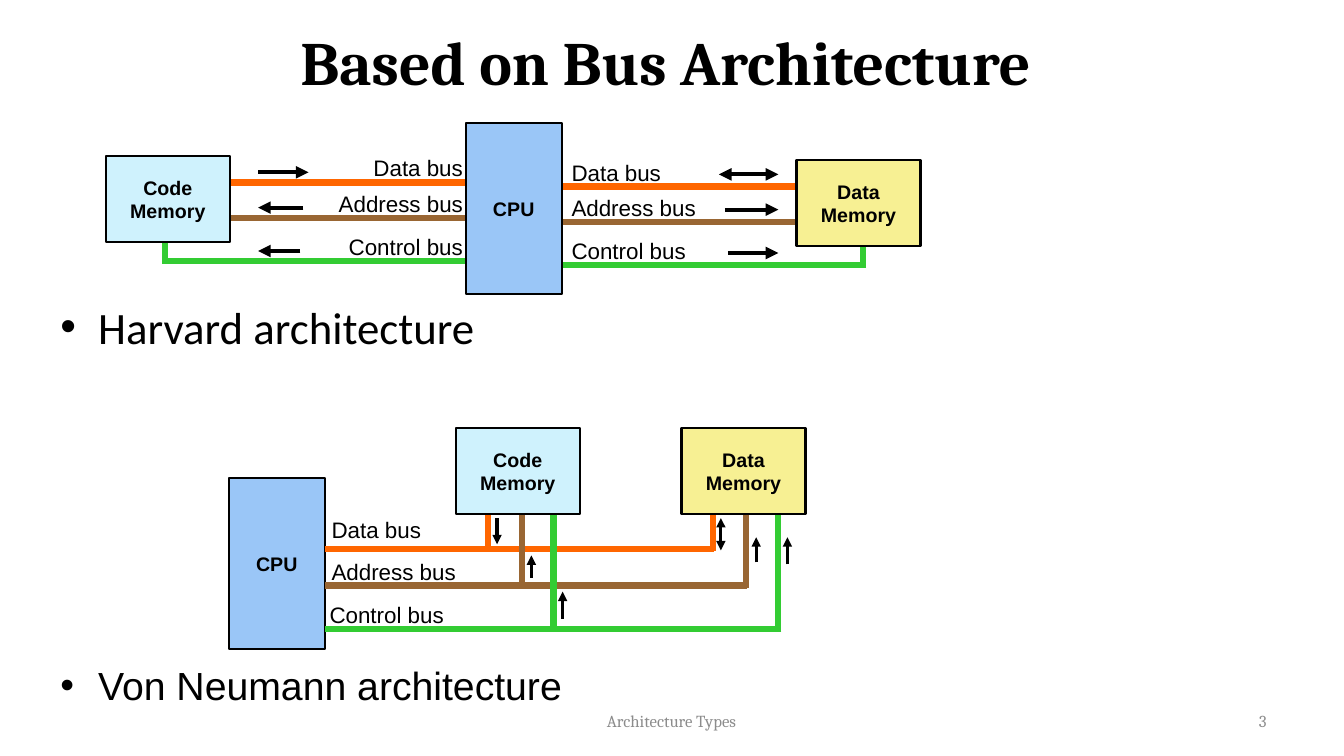
from lxml import etree
from pptx import Presentation
from pptx import util as u
from pptx.dml.color import RGBColor
from pptx.enum import shapes, text
from pptx.oxml.ns import qn

THEME = {
    "black": "000000", "grey": "8C8C8C",
    "cpu": "86BBF6", "code": "CFF2FD", "data": "F7F093",
    "Data bus": "FF6600", "Address bus": "996633", "Control bus": "33CC33",
    "title size": 44, "harvard size": 32, "neumann size": 28,
    "label size": 16, "block size": 14, "footer size": 12,
    "bus width": 4.5, "harvard arrow": 3, "neumann arrow": 2.25,
}
LEFT, CENTER, RIGHT = text.PP_ALIGN.LEFT, text.PP_ALIGN.CENTER, text.PP_ALIGN.RIGHT
BUSES = ("Data bus", "Address bus", "Control bus")

presentation = Presentation()
presentation.slide_width, presentation.slide_height = u.Inches(13.33), u.Inches(7.5)
slide = presentation.slides.add_slide(presentation.slide_layouts[6])
CELL = presentation.slide_height / 75


def add_text(content, box, size, font="Arial", color="black", align=LEFT, fill=None, bold=False, middle=False):
    place = [round(value * CELL) for value in box]
    if fill:
        shape = slide.shapes.add_shape(shapes.MSO_SHAPE.RECTANGLE, *place)
        shape.shadow.inherit = False
        shape.fill.solid()
        shape.fill.fore_color.rgb = RGBColor.from_string(THEME[fill])
        shape.line.color.rgb = RGBColor.from_string(THEME["black"])
        shape.line.width = u.Pt(1.5)
    else:
        shape = slide.shapes.add_textbox(*place)
    frame = shape.text_frame
    frame.word_wrap = not fill
    frame.vertical_anchor = text.MSO_ANCHOR.MIDDLE if middle else text.MSO_ANCHOR.TOP
    frame.text = content
    for paragraph in frame.paragraphs:
        paragraph.alignment = align
        paragraph.font.name = font
        paragraph.font.size = u.Pt(THEME[size])
        paragraph.font.bold = bold
        paragraph.font.color.rgb = RGBColor.from_string(THEME[color])
    return shape


def add_line(start_x, start_y, end_x, end_y, width, color="black", ends=()):
    points = [round(value * CELL) for value in (start_x, start_y, end_x, end_y)]
    connector = slide.shapes.add_connector(shapes.MSO_CONNECTOR.STRAIGHT, *points)
    connector.line.color.rgb = RGBColor.from_string(THEME[color])
    connector.line.width = u.Pt(THEME[width])
    for end in ends:
        etree.SubElement(connector.line._get_or_add_ln(), qn(f"a:{end}"), type="triangle")
    etree.SubElement(connector._element.spPr, qn("a:effectLst"))


add_text("Based on Bus Architecture ", (6.7, 1.3, 120, 9.5), "title size", "Cambria",
         align=CENTER, bold=True, middle=True)
add_text("Architecture Types", (45.5, 69.5, 42.2, 4), "footer size", "Cambria", "grey", CENTER, middle=True)
add_text("3", (95.5, 69.5, 31.1, 4), "footer size", "Cambria", "grey", RIGHT, middle=True)

for heading, top, size, font in (
    ("Harvard architecture", 29.2, "harvard size", "Calibri"),
    ("Von Neumann architecture", 65.1, "neumann size", "Arial"),
):
    shape = add_text(heading, (5, top, 91.3, 10.9), size, font)
    properties = shape.text_frame.paragraphs[0]._p.get_or_add_pPr()
    indent = round(3.75 * CELL)
    properties.set("marL", str(indent))
    properties.set("indent", str(-indent))
    etree.SubElement(properties, qn("a:buFont"), typeface="Arial")
    etree.SubElement(properties, qn("a:buChar"), char="•")
    properties.append(properties.find(qn("a:defRPr")))

HARVARD_ROWS = (18.1, 21.6, 25.9)
HARVARD_SIDES = (
    (0, 22.9, 46.1, 16.4, 31.8, RIGHT, 1),
    (0.4, 79, 55.7, 85.6, 55.7, LEFT, 1.2),
)
for drop, memory_edge, cpu_edge, memory_pin, label_left, align, lift in HARVARD_SIDES:
    for bus, row in zip(BUSES, HARVARD_ROWS):
        y = row + drop
        if bus == "Control bus":
            add_line(memory_pin, y - 0.3, memory_pin, y - 1.9, "bus width", bus)
            memory_edge = memory_pin + (0.3 if align == LEFT else -0.3)
        add_line(memory_edge, y, cpu_edge, y, "bus width", bus)
        add_text(bus, (label_left, y - 3.25, 15.1, 3.7), "label size", align=align)

HARVARD_ARROWS = (
    ((25.6, 30.6), (30.1, 25.6), (29.8, 25.6)),
    ((77.2, 71.3), (71.9, 77.2), (72.2, 77.2)),
)
for (drop, *_, lift), spans in zip(HARVARD_SIDES, HARVARD_ARROWS):
    for row, (start, end) in zip(HARVARD_ROWS, spans):
        both_ways = drop and row == HARVARD_ROWS[0]
        ends = ("headEnd", "tailEnd") if both_ways else ("tailEnd",)
        y = row + drop - lift
        add_line(start, y, end, y, "harvard arrow", ends=ends)

cpus = [add_text("CPU", (22.7, 47.4, 9.5, 17), "block size",
                 align=CENTER, fill="cpu", bold=True, middle=True)]

NEUMANN_BUSES = (
    ("Control bus", 62.4, 59.1, 31.7, 77.5, (54.9, 77.2)),
    ("Address bus", 58.1, 54.9, 31.9, 74.1, (51.8, 74)),
    ("Data bus", 54.45, 50.7, 31.9, 70.8, (48.4, 70.7)),
)
for bus, y, label_top, label_left, right, pins in NEUMANN_BUSES:
    add_text(bus, (label_left, label_top, 15.1, 3.7), "label size")
    add_line(right, y, 32.2, y, "bus width", bus)
for bus, y, *_, pins in NEUMANN_BUSES:
    for pin in pins:
        add_line(pin, y + 0.2, pin, 50.9, "bus width", bus)

for x, start, end, ends in (
    (49.3, 51.4, 54, ("tailEnd",)),
    (52.7, 57.3, 55.1, ("tailEnd",)),
    (55.8, 61.4, 58.7, ("tailEnd",)),
    (71.5, 51.4, 54.6, ("headEnd", "tailEnd")),
    (75, 55.8, 53.3, ("tailEnd",)),
    (78.1, 56, 53.3, ("tailEnd",)),
):
    add_line(x, start, x, end, "neumann arrow", ends=ends)

cpus.append(add_text("CPU", (46.2, 12.2, 9.5, 17), "block size",
                     align=CENTER, fill="cpu", bold=True, middle=True))
for cpu in cpus:
    color = cpu.fill._xPr.find(qn("a:solidFill"))[0]
    etree.SubElement(color, qn("a:alpha"), val="83000")

for name, fill, left, top in (
    ("Code", "code", 10.5, 15.5),
    ("Data", "data", 79, 15.9),
    ("Code", "code", 45.2, 42.5),
    ("Data", "data", 67.6, 42.5),
):
    add_text(f"{name}\nMemory", (left, top, 12.3, 8.5), "block size",
             align=CENTER, fill=fill, bold=True, middle=True)

presentation.save("out.pptx")
